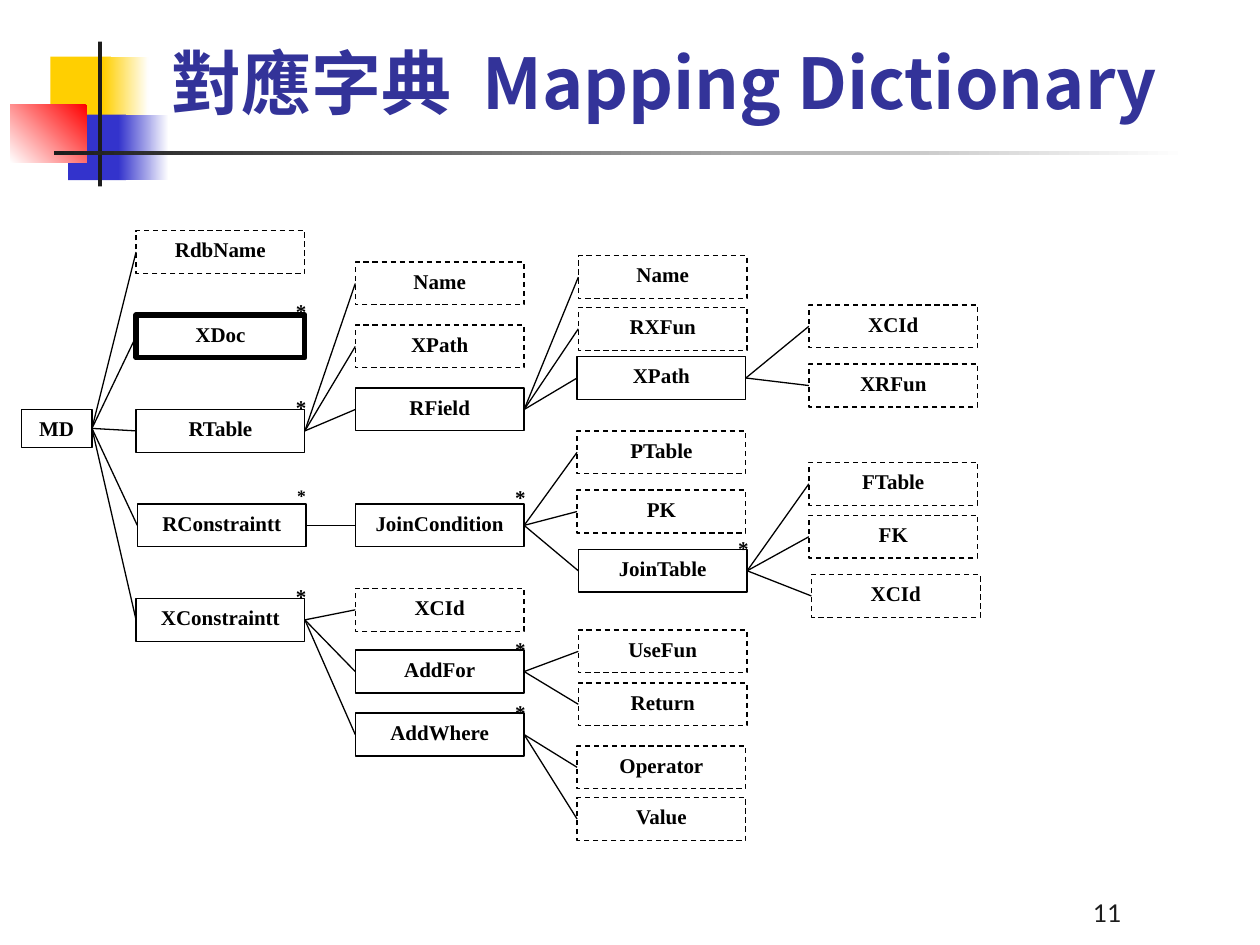
from dataclasses import dataclass, field

from lxml.etree import SubElement
from pptx import Presentation
from pptx.dml.color import RGBColor
from pptx.enum.dml import MSO_LINE
from pptx.enum.shapes import MSO_CONNECTOR as Connector, MSO_SHAPE as Shape
from pptx.enum.text import MSO_ANCHOR as Anchor, PP_ALIGN as Align
from pptx.oxml.ns import qn
from pptx.util import Inches, Pt


@dataclass(frozen=True)
class Theme:
    title_font: str = "Noto Sans CJK SC"
    label_font: str = "Times New Roman"
    number_font: str = "Lato"
    title_size: int = 40
    label_size: int = 12
    small_star_size: int = 10
    number_size: int = 14
    title_color: str = "333399"
    label_color: str = "000000"
    dark: str = "1C1C1C"
    yellow: str = "FFCF01"
    blue: str = "3333CC"
    red: str = "FF0000"
    white: str = "FFFFFF"
    thin: float = 0.75
    thick: float = 3


@dataclass
class Node:
    """A tree box; star is how far its asterisk rises above the box."""
    name: str
    top: float
    children: list = field(default_factory=list)
    dashed: bool = False
    star: float = 0
    star_size: int = 12
    width: float = 1.34
    height: float = 0.34
    line: float = 0.75
    nudge: float = 0


def leaf(name, top, nudge=0):
    return Node(name, top, dashed=True, nudge=nudge)


THEME = Theme()
TITLE_WORDS = ("對應字典", "Mapping Dictionary")
PAGE_NUMBER = "11"
COLUMN_LEFTS = (0.17, 1.08, 2.82, 4.58, 6.42)
STAR_INSET = 0.17

# left, top, width, height, colours from start to end, gradient angle
ORNAMENT = [
    (0.4, 0.45, 0.48, 0.52, (THEME.yellow,), 0),
    (0.82, 0.45, 0.36, 0.52, (THEME.yellow, THEME.white), 0),
    (0.54, 0.91, 0.46, 0.52, (THEME.blue,), 0),
    (0.94, 0.91, 0.4, 0.52, (THEME.blue, THEME.white), 0),
    (0.08, 0.83, 0.61, 0.46, (THEME.red, THEME.white), 225),
    (0.78, 0.33, 0.03, 1.15, (THEME.dark,), 0),
    (0.43, 1.2, 9, 0.03, (THEME.dark, THEME.white), 0),
]

TREE = Node("MD", 3.25, width=0.56, height=0.3, children=[
    leaf("RdbName", 1.83),
    Node("XDoc", 2.5, star=0.18, line=THEME.thick),
    Node("RTable", 3.25, star=0.17, children=[
        leaf("Name", 2.08),
        leaf("XPath", 2.58),
        Node("RField", 3.08, [
            leaf("Name", 2.03, 0.01),
            leaf("RXFun", 2.44, 0.01),
            Node("XPath", 2.83, [leaf("XCId", 2.42), leaf("XRFun", 2.89)]),
        ]),
    ]),
    Node("RConstraintt", 4, star=0.2, star_size=THEME.small_star_size, nudge=0.01, children=[
        Node("JoinCondition", 4, star=0.2, children=[
            leaf("PTable", 3.42),
            leaf("PK", 3.89),
            Node("JoinTable", 4.36, star=0.16, nudge=0.01, children=[
                leaf("FTable", 3.67), leaf("FK", 4.09), leaf("XCId", 4.56, 0.02),
            ]),
        ]),
    ]),
    Node("XConstraintt", 4.75, star=0.17, children=[
        leaf("XCId", 4.67),
        Node("AddFor", 5.16, star=0.16, children=[
            leaf("UseFun", 5, 0.01), leaf("Return", 5.42, 0.01),
        ]),
        Node("AddWhere", 5.66, star=0.16, children=[
            leaf("Operator", 5.92), leaf("Value", 6.33),
        ]),
    ]),
])


def rgb(color):
    return RGBColor.from_string(color)


def style(para, name, size, color, bold=False, align=Align.LEFT):
    para.alignment = align
    font = para.font
    font.name, font.size, font.bold = name, Pt(size), bold
    font.color.rgb = rgb(color)


def add_rect(page, left, top, width, height):
    box = page.shapes.add_shape(
        Shape.RECTANGLE, Inches(left), Inches(top), Inches(width), Inches(height))
    box.shadow.inherit = False
    return box


def add_text(page, left, top, width, height, text):
    box = page.shapes.add_textbox(Inches(left), Inches(top), Inches(width), Inches(height))
    box.text_frame.word_wrap = True
    box.text_frame.text = text
    return box.text_frame


def add_ornament(page):
    for left, top, width, height, colors, angle in ORNAMENT:
        fill = add_rect(page, left, top, width, height)
        fill.line.fill.background()
        if len(colors) == 1:
            fill.fill.solid()
            fill.fill.fore_color.rgb = rgb(colors[0])
            continue
        fill.fill.gradient()
        fill.fill.gradient_angle = angle
        for stop, color in zip(fill.fill.gradient_stops, colors):
            stop.color.rgb = rgb(color)


def add_title(page):
    title = page.shapes.title
    title.left, title.top = Inches(1.26), Inches(0.17)
    title.width, title.height = Inches(8.52), Inches(0.86)
    title.text_frame.vertical_anchor = Anchor.BOTTOM
    para = title.text_frame.paragraphs[0]
    style(para, THEME.title_font, THEME.title_size, THEME.title_color, bold=True)
    east_asian = SubElement(para.font._element, qn("a:ea"))
    east_asian.set("typeface", THEME.title_font)
    for text in (TITLE_WORDS[0], " ", TITLE_WORDS[1]):
        span = para.add_run()
        span.text = text
        if text == " ":  # widen the gap between the two languages
            span.font._element.set("spc", "900")


def add_link(page, start, end):
    link = page.shapes.add_connector(
        Connector.STRAIGHT, *(Inches(value) for value in (*start, *end)))
    link.line.color.rgb = rgb(THEME.label_color)
    link.line.width = Pt(THEME.thin)
    SubElement(link._element.spPr, qn("a:effectLst"))


def add_node(page, node, level=0):
    """Draw a node and its subtree; return the middle of its left edge."""
    left = COLUMN_LEFTS[level] + node.nudge
    right, middle = left + node.width, node.top + node.height / 2
    box = add_rect(page, left, node.top, node.width, node.height)
    box.fill.background()
    box.line.color.rgb = rgb(THEME.label_color)
    box.line.width = Pt(node.line)
    if node.dashed:
        box.line.dash_style = MSO_LINE.DASH
    box.text_frame.text = node.name
    box.text_frame.word_wrap = True
    box.text_frame.vertical_anchor = Anchor.TOP
    style(box.text_frame.paragraphs[0], THEME.label_font, THEME.label_size,
          THEME.label_color, bold=True, align=Align.CENTER)
    if node.star:
        star = add_text(page, right - STAR_INSET, node.top - node.star, 0.34, 0.34, "*")
        style(star.paragraphs[0], THEME.label_font, node.star_size,
              THEME.label_color, bold=True)
    for child in node.children:
        add_link(page, (right, middle), add_node(page, child, level + 1))
    return left, middle


def main():
    deck = Presentation()
    deck.slide_width, deck.slide_height = Inches(10), Inches(7.5)
    page = deck.slides.add_slide(deck.slide_layouts[5])
    add_ornament(page)
    add_title(page)
    add_node(page, TREE)
    number = add_text(page, 6.92, 6.91, 2.08, 0.5, PAGE_NUMBER)
    number.vertical_anchor = Anchor.BOTTOM
    style(number.paragraphs[0], THEME.number_font, THEME.number_size,
          THEME.dark, align=Align.RIGHT)
    deck.save("out.pptx")


if __name__ == "__main__":
    main()
